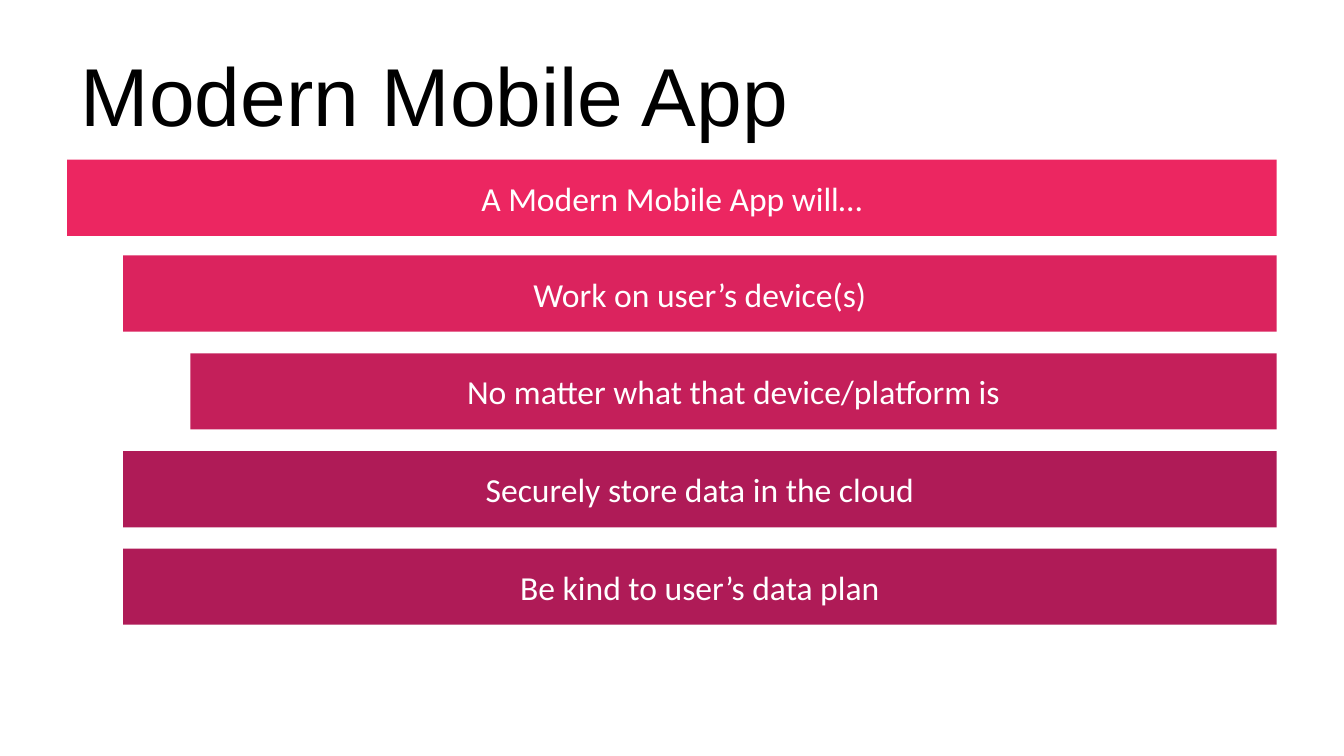
"""Build the Modern Mobile App slide with its stack of indented bars."""
from pptx import Presentation
from pptx import util as u
from pptx.dml.color import RGBColor
from pptx.enum import shapes, text


def paint(fmt, tone):
    fmt.solid()
    fmt.fore_color.rgb = RGBColor.from_string(tone)


def write(shape, words, size=18, face="Calibri", tone="FFFFFF", align=text.PP_ALIGN.CENTER):
    frame = shape.text_frame
    frame.word_wrap = True
    frame.auto_size = text.MSO_AUTO_SIZE.NONE
    frame.vertical_anchor = text.MSO_ANCHOR.MIDDLE
    para = frame.paragraphs[0]
    para.alignment = align
    run = para.add_run()
    run.text = words
    run.font.size = u.Pt(size)
    run.font.name = face
    paint(run.font.fill, tone)


deck = Presentation()
deck.slide_width, deck.slide_height = u.Cm(25.4), u.Cm(14.29)
slide = deck.slides.add_slide(deck.slide_layouts[5])

title = slide.shapes.title
title.left, title.top = u.Cm(1.27), u.Cm(0.58)
title.width, title.height = u.Cm(22.86), u.Cm(2.38)
write(title, "Modern Mobile App", size=44, face="Arial", tone="000000", align=text.PP_ALIGN.LEFT)

right = 24.13
bars = [
    (1.27, 3.02, "EC2661", "A Modern Mobile App will…"),
    (2.33, 4.83, "DB235E", "Work on user’s device(s)"),
    (3.6, 6.68, "C41F5A", "No matter what that device/platform is"),
    (2.33, 8.53, "AF1B57", "Securely store data in the cloud"),
    (2.33, 10.37, "AF1B57", "Be kind to user’s data plan"),
]
for left, top, tone, words in bars:
    bar = slide.shapes.add_shape(
        shapes.MSO_SHAPE.RECTANGLE, u.Cm(left), u.Cm(top), u.Cm(right - left), u.Cm(1.44))
    bar.shadow.inherit = False
    paint(bar.fill, tone)
    bar.line.fill.background()
    write(bar, words)

deck.save("out.pptx")
